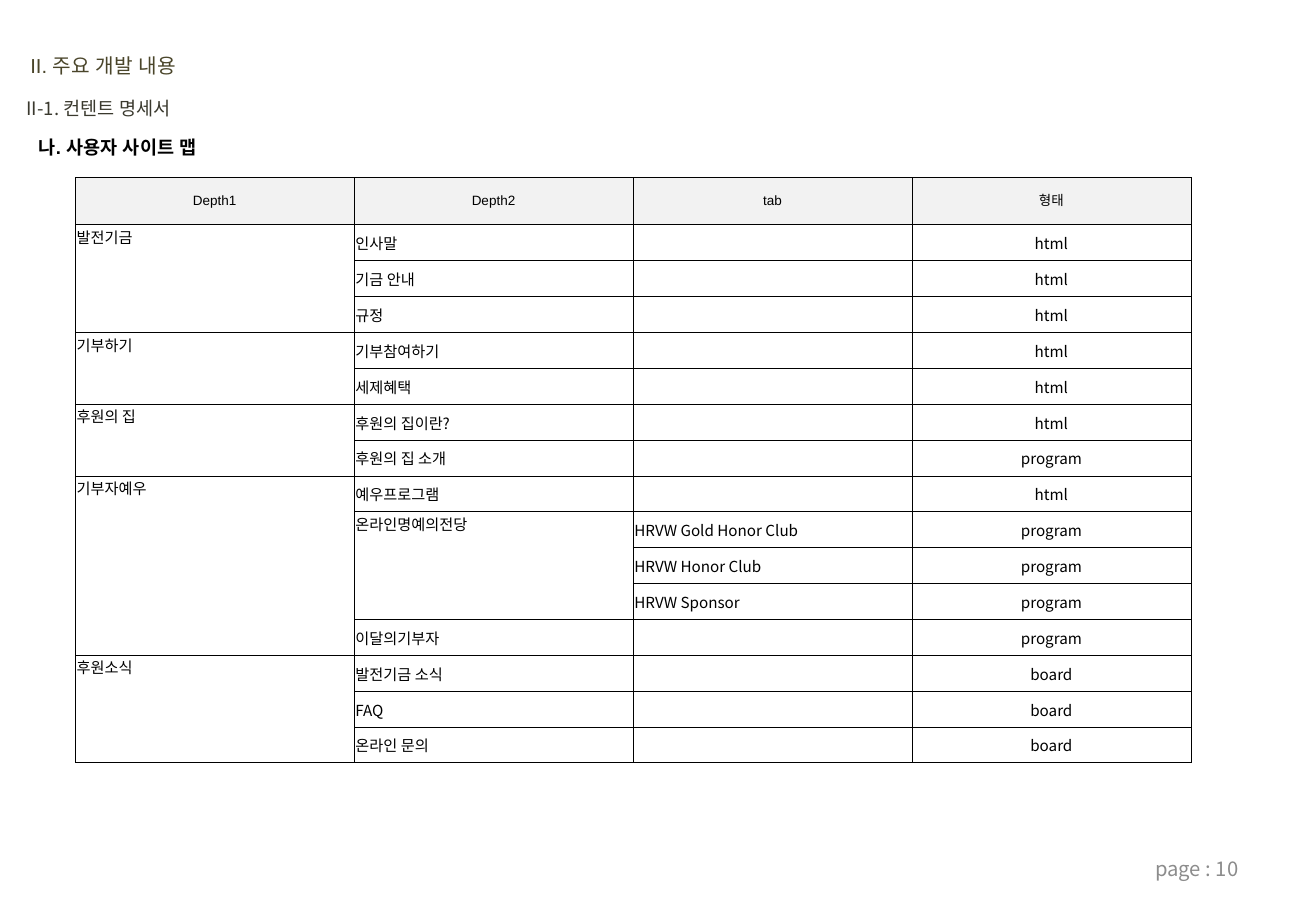
from lxml.etree import SubElement
from pptx import Presentation
from pptx.dml.color import RGBColor
from pptx.enum.text import MSO_ANCHOR as Anchor, MSO_AUTO_SIZE as Fit, PP_ALIGN as Align
from pptx.oxml.ns import qn
from pptx.util import Pt

NOTO, ARIAL = "Noto Sans CJK KR", "Arial"
COLORS = {"title": "4A452A", "sub": "3A392E", "ink": "000000",
          "head": "F2F2F2", "page": "8C8C8C"}
TITLE = ("II. 주요 개발 내용", (15, 39, 152, 30), 12, ARIAL, "title", False, False, Align.LEFT)
NOTES = [
    ("II-1. 컨텐트 명세서", (12, 75, 175, 29), 11, NOTO, "sub", False, True, Align.LEFT),
    ("나. 사용자 사이트 맵", (22, 107, 164, 29), 11, ARIAL, "ink", True, False, Align.LEFT),
    ("page : 10", (776, 695, 253, 40), 12, NOTO, "page", False, True, Align.RIGHT),
]
HEADS = ["Depth1", "Depth2", "tab", "형태"]
SITE = [
    ("발전기금", [("인사말", [("", "html")]), ("기금 안내", [("", "html")]),
              ("규정", [("", "html")])]),
    ("기부하기", [("기부참여하기", [("", "html")]), ("세제혜택", [("", "html")])]),
    ("후원의 집", [("후원의 집이란?", [("", "html")]), ("후원의 집 소개", [("", "program")])]),
    ("기부자예우", [("예우프로그램", [("", "html")]),
               ("온라인명예의전당", [("HRVW Gold Honor Club", "program"),
                             ("HRVW Honor Club", "program"),
                             ("HRVW Sponsor", "program")]),
               ("이달의기부자", [("", "program")])]),
    ("후원소식", [("발전기금 소식", [("", "board")]), ("FAQ", [("", "board")]),
              ("온라인 문의", [("", "board")])]),
]
GRID = (62, 146, 918, 482)
HEAD_H = 39
SCALE = 9144


def px(n):
    return round(n * SCALE)


def add_run(para, text, size, face, color, bold=False):
    run = para.add_run()
    run.text = text
    font = run.font
    font.size, font.name, font.bold = Pt(size), face, bold
    font.color.rgb = RGBColor.from_string(COLORS[color])
    SubElement(font._element, qn("a:ea"), typeface=face)


def fill_box(box, text, rect, size, face, color, bold, wrap, align):
    box.left, box.top, box.width, box.height = map(px, rect)
    frame = box.text_frame
    frame.auto_size, frame.word_wrap = Fit.NONE, wrap
    frame.vertical_anchor = Anchor.MIDDLE if align == Align.RIGHT else Anchor.TOP
    para = frame.paragraphs[0]
    para.alignment = align
    add_run(para, text, size, face, color, bold)


def frame_cell(cell):
    props = cell._tc.get_or_add_tcPr()
    for side in ("lnL", "lnR", "lnT", "lnB"):
        line = SubElement(props, qn("a:" + side), w=str(Pt(0.25)))
        SubElement(SubElement(line, qn("a:solidFill")), qn("a:srgbClr"), val=COLORS["ink"])


def fill_cell(cell, text, head, col, tall):
    frame_cell(cell)
    pad = px(4 if head else 1)
    cell.margin_left = cell.margin_right = cell.margin_top = pad
    cell.margin_bottom = pad if head else 0
    cell.vertical_anchor = Anchor.TOP if tall else Anchor.MIDDLE
    if head:
        cell.fill.solid()
        cell.fill.fore_color.rgb = RGBColor.from_string(COLORS["head"])
    else:
        cell.fill.background()
    para = cell.text_frame.paragraphs[0]
    para.alignment = Align.CENTER if head or col == 3 else Align.LEFT
    if text:
        add_run(para, text, 8 if head else 9, ARIAL if head else NOTO, "ink")
    else:
        SubElement(para._p, qn("a:endParaRPr"), sz="900")


def lay_out():
    rows, spans = [HEADS], []
    for main, subs in SITE:
        top = len(rows)
        for sub, tabs in subs:
            start = len(rows)
            for tab, kind in tabs:
                rows.append([main if len(rows) == top else "",
                             sub if len(rows) == start else "", tab, kind])
            spans.append((start, len(rows) - 1, 1))
        spans.append((top, len(rows) - 1, 0))
    return rows, [s for s in spans if s[1] > s[0]]


def add_map(slide):
    rows, spans = lay_out()
    left, top, width, height = GRID
    table = slide.shapes.add_table(len(rows), len(HEADS), *map(px, GRID)).table
    table.first_row = table.horz_banding = False
    for col in table.columns:
        col.width = px(width / len(HEADS))
    for r, row in enumerate(rows):
        table.rows[r].height = px(HEAD_H if r == 0 else (height - HEAD_H) / (len(rows) - 1))
        for c, text in enumerate(row):
            tall = any(s == r and k == c for s, e, k in spans)
            fill_cell(table.cell(r, c), text, r == 0, c, tall)
    for start, end, col in spans:
        table.cell(start, col).merge(table.cell(end, col))


def main():
    deck = Presentation()
    deck.slide_width, deck.slide_height = px(1083), px(750)
    slide = deck.slides.add_slide(deck.slide_layouts[5])
    fill_box(slide.shapes.title, *TITLE)
    for note in NOTES:
        fill_box(slide.shapes.add_textbox(0, 0, 0, 0), *note)
    add_map(slide)
    deck.save("out.pptx")


if __name__ == "__main__":
    main()
